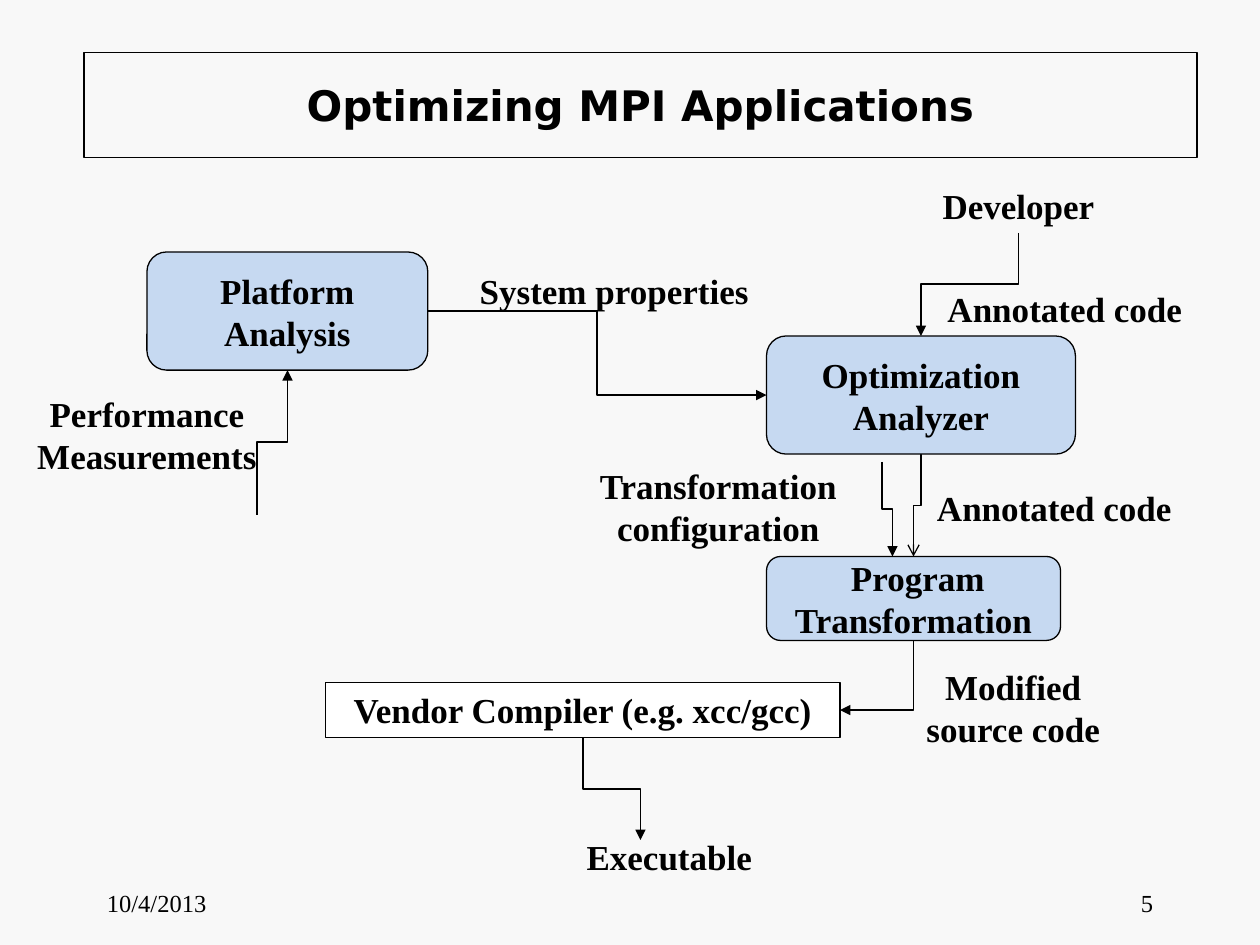
from dataclasses import dataclass

from lxml import etree
from pptx import Presentation
from pptx.dml.color import RGBColor
from pptx.enum.shapes import MSO_CONNECTOR, MSO_SHAPE
from pptx.enum.text import MSO_ANCHOR, PP_ALIGN
from pptx.oxml.ns import qn
from pptx.util import Pt

RECTANGLE, ROUNDED = MSO_SHAPE.RECTANGLE, MSO_SHAPE.ROUNDED_RECTANGLE
ELBOW = MSO_CONNECTOR.ELBOW
LEFT, CENTER, RIGHT = PP_ALIGN.LEFT, PP_ALIGN.CENTER, PP_ALIGN.RIGHT
TOP, MIDDLE = MSO_ANCHOR.TOP, MSO_ANCHOR.MIDDLE


@dataclass(frozen=True)
class Theme:
    background: RGBColor = RGBColor(0xF8, 0xF8, 0xF8)
    ink: RGBColor = RGBColor(0, 0, 0)
    step: RGBColor = RGBColor(0xC6, 0xD9, 0xF1)
    compiler: RGBColor = RGBColor(0xFF, 0xFF, 0xFF)
    title_font: str = "DejaVu Sans"
    body_font: str = "Times New Roman"
    title_size: float = 24
    body_size: float = 20
    footer_size: float = 14
    outline: float = 0.75
    arrow: float = 1


THEME = Theme()


@dataclass(frozen=True)
class Box:
    left: float
    top: float
    width: float
    height: float

    def inside(self, left, top, width, height):
        return Box(self.left + left, self.top + top, width, height)

    def lengths(self):
        return Pt(self.left), Pt(self.top), Pt(self.width), Pt(self.height)

    def side(self, across, down):
        """Point at the given fractions of the width and height."""
        return self.left + across * self.width, self.top + down * self.height


def write(shape, text, align=CENTER, anchor=TOP, size=THEME.body_size,
          font=THEME.body_font, bold=True):
    frame = shape.text_frame
    frame.word_wrap = True
    frame.vertical_anchor = anchor
    paragraph = frame.paragraphs[0]
    paragraph.alignment = align
    run = paragraph.add_run()
    run.text = text
    run.font.name = font
    run.font.size = Pt(size)
    run.font.bold = bold
    run.font.color.rgb = THEME.ink


def add_label(slide, box, text, **style):
    write(slide.shapes.add_textbox(*box.lengths()), text, **style)


def add_block(slide, box, text, kind, fill=None, **style):
    shape = slide.shapes.add_shape(kind, *box.lengths())
    shape.shadow.inherit = False
    if fill is None:
        shape.fill.background()
    else:
        shape.fill.solid()
        shape.fill.fore_color.rgb = fill
    shape.line.color.rgb = THEME.ink
    shape.line.width = Pt(THEME.outline)
    write(shape, text, **style)


def add_elbow(slide, start, end, vertical=True, single_bend=False,
              head="triangle", width=THEME.arrow):
    """Elbow arrow; one that leaves vertically is a turned horizontal one."""
    (x1, y1), (x2, y2) = start, end
    rotation = 0
    if vertical:
        rotation = 90 if y2 > y1 and x2 < x1 else 270
        middle_x, middle_y = (x1 + x2) / 2, (y1 + y2) / 2
        half_width, half_height = abs(y2 - y1) / 2, abs(x2 - x1) / 2
        if rotation == 270 and y2 > y1:
            half_width = -half_width
        x1, x2 = middle_x - half_width, middle_x + half_width
        y1, y2 = middle_y - half_height, middle_y + half_height
    connector = slide.shapes.add_connector(ELBOW, Pt(x1), Pt(y1), Pt(x2), Pt(y2))
    connector.line.color.rgb = THEME.ink
    connector.line.width = Pt(width)
    properties = connector._element.spPr
    if rotation:
        properties.find(qn("a:xfrm")).set("rot", str(rotation * 60000))
    if single_bend:
        properties.find(qn("a:prstGeom")).set("prst", "bentConnector2")
    line = properties.find(qn("a:ln"))
    etree.SubElement(line, qn("a:tailEnd")).set("type", head)
    etree.SubElement(properties, qn("a:effectLst"))


def add_title(slide, box):
    add_block(slide, box, "Optimizing MPI Applications", RECTANGLE, anchor=MIDDLE,
              size=THEME.title_size, font=THEME.title_font)


def add_footer(slide, box):
    width = 150
    for left, text, align in ((0, "10/4/2013", LEFT),
                              (box.width - width, "5", RIGHT)):
        add_label(slide, box.inside(left, 0, width, box.height), text,
                  align=align, size=THEME.footer_size, bold=False)


def add_workflow(slide, box):
    platform = box.inside(72, 42, 160.5, 67.5)
    analyzer = box.inside(426, 90, 176.5, 67.5)
    program = box.inside(426, 216, 168, 48)
    compiler = box.inside(174, 288, 294, 31.5)
    developer = box.inside(516, 0, 108, 31)

    # Arrows
    add_elbow(slide, box.inside(135, 192, 0, 0).side(0, 0), platform.side(0.5, 1))
    add_elbow(slide, platform.side(1, 0.5), analyzer.side(0, 0.5), vertical=False)
    add_elbow(slide, developer.side(0.5, 1), analyzer.side(0.5, 0))
    add_elbow(slide, box.inside(492, 162, 0, 0).side(0, 0),
              box.inside(498, 216, 0, 0).side(0, 0))
    add_elbow(slide, analyzer.side(0.5, 1), program.side(0.5, 0),
              head="arrow", width=THEME.outline)
    add_elbow(slide, program.side(0.5, 1), compiler.side(1, 0.5), single_bend=True)
    add_elbow(slide, compiler.side(0.5, 1), box.inside(354, 378, 0, 0).side(0, 0))

    # Steps
    for step, text in ((platform, "Platform Analysis"),
                       (analyzer, "Optimization Analyzer"),
                       (program, " Program Transformation")):
        add_block(slide, step, text, ROUNDED, THEME.step, anchor=MIDDLE)
    add_block(slide, compiler, "Vendor Compiler (e.g. xcc/gcc)", RECTANGLE,
              THEME.compiler)

    # Inputs and outputs
    add_label(slide, developer, "Developer")
    for place, text in (((516, 58.5, 161, 31.5), "Annotated code"),
                        ((0, 118.5, 144, 55), "Performance Measurements"),
                        ((240, 48.5, 198, 31.5), "System properties"),
                        ((306, 160, 185, 55.5), "Transformation configuration"),
                        ((510, 172.5, 161, 31.5), "Annotated code"),
                        ((492, 274.5, 150, 55.5), "Modified source code"),
                        ((312, 372, 117, 31), "Executable")):
        add_label(slide, box.inside(*place), text)


def main():
    presentation = Presentation()
    presentation.slide_width, presentation.slide_height = Pt(720), Pt(540)
    slide = presentation.slides.add_slide(presentation.slide_layouts[6])
    slide.background.fill.solid()
    slide.background.fill.fore_color.rgb = THEME.background
    add_title(slide, Box(48, 30, 636, 60))
    add_workflow(slide, Box(12, 102, 678, 403))
    add_footer(slide, Box(54, 504, 612, 36))
    presentation.save("out.pptx")


if __name__ == "__main__":
    main()
